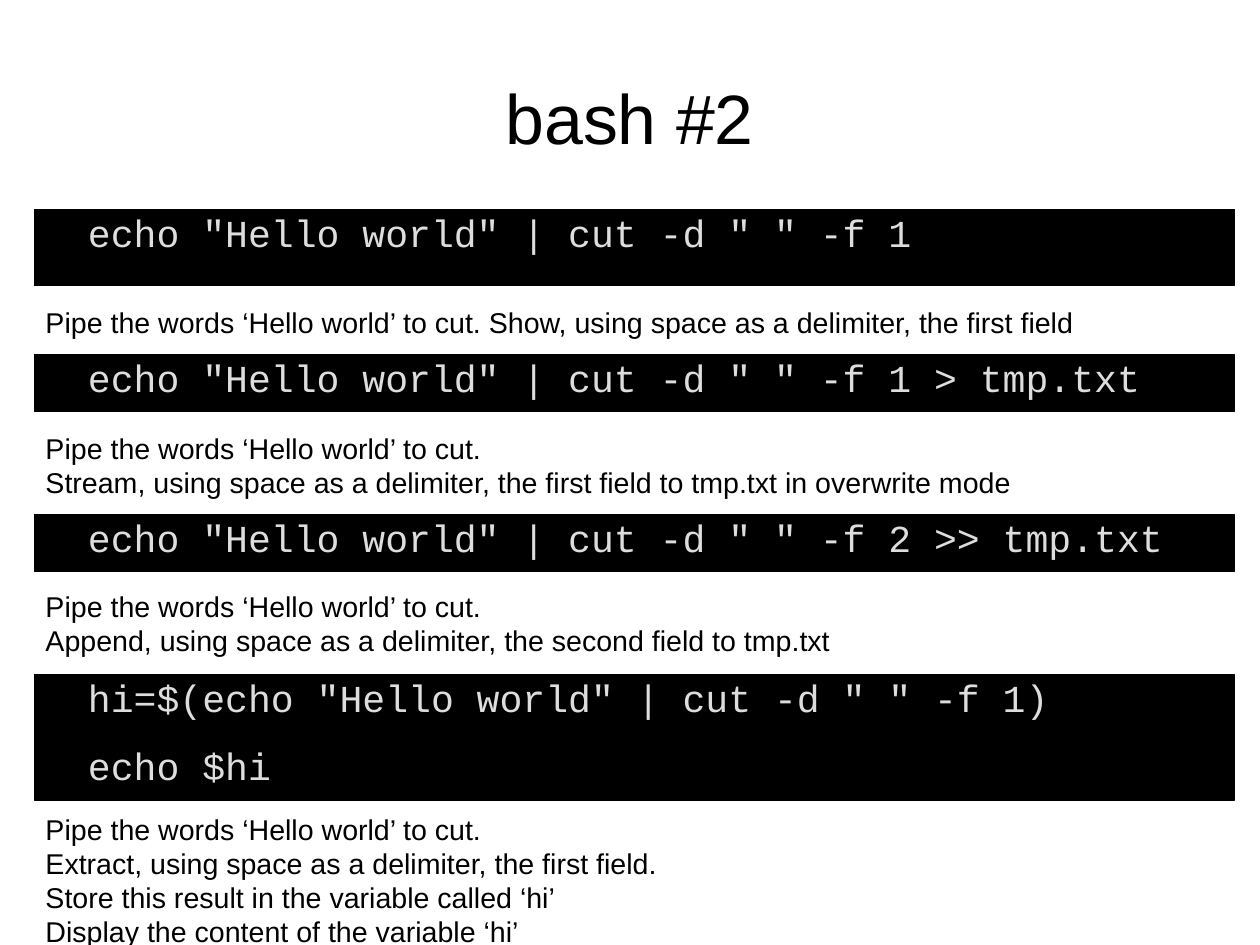
from pptx import Presentation
from pptx.dml.color import RGBColor
from pptx.enum.shapes import MSO_SHAPE
from pptx.enum.text import MSO_ANCHOR, PP_ALIGN
from pptx.util import Inches, Pt

RECT = MSO_SHAPE.RECTANGLE
TOP, MIDDLE = MSO_ANCHOR.TOP, MSO_ANCHOR.MIDDLE
LEFT, CENTER = PP_ALIGN.LEFT, PP_ALIGN.CENTER

# Content
TITLE = "bash #2"
PIPE = "Pipe the words ‘Hello world’ to cut."
CUT = 'echo "Hello world" | cut -d " " -f '
# Each step: code top, code height, code lines, note top, note lines
STEPS = [
    (1.83, 0.67, [CUT + "1"],
     2.62, [PIPE + " Show, using space as a delimiter, the first field"]),
    (3.1, 0.5, [CUT + "1 > tmp.txt"],
     3.72, [PIPE, "Stream, using space as a delimiter, the first field "
                  "to tmp.txt in overwrite mode"]),
    (4.5, 0.5, [CUT + "2 >> tmp.txt"],
     5.1, [PIPE, "Append, using space as a delimiter, the second field "
                 "to tmp.txt"]),
    (5.9, 1.1, ["hi=$(" + CUT + "1)", "echo $hi"],
     7.05, [PIPE, "Extract, using space as a delimiter, the first field.",
            "Store this result in the variable called ‘hi’",
            "Display the content of the variable ‘hi’"]),
]
SIDE, WIDE = 0.3, 10.5
LINE, PAD = 0.28, 0.1
INCH = 2.54  # centimetres; the page is 28 by 21 cm


def color(code):
    return RGBColor.from_string(code)


def write(shape, lines, size=18, font="Arial", ink="000000", align=LEFT,
          anchor=TOP, inset=(0, 0, 0, 0), gap=0):
    frame = shape.text_frame
    frame.word_wrap = True
    frame.vertical_anchor = anchor
    (frame.margin_left, frame.margin_top,
     frame.margin_right, frame.margin_bottom) = map(Inches, inset)
    for i, line in enumerate(lines):
        para = frame.add_paragraph() if i else frame.paragraphs[0]
        para.alignment = align
        para.space_before = Pt(gap if i else 0)
        run = para.add_run()
        run.text = line
        run.font.size = Pt(size)
        run.font.name = font
        run.font.color.rgb = color(ink)


def place(top, height):
    return [Inches(n) for n in (SIDE, top, WIDE, height)]


deck = Presentation()
deck.slide_width, deck.slide_height = Inches(28 / INCH), Inches(21 / INCH)
slide = deck.slides.add_slide(deck.slide_layouts[5])
shapes = slide.shapes

# Title
title = shapes.title
title.left, title.top = Inches(0.55), Inches(0.33)
title.width, title.height = Inches(9.92), Inches(1.38)
write(title, [TITLE], size=44, align=CENTER, anchor=MIDDLE)

# Code bars with their notes
for top, height, code, below, note in STEPS:
    bar = shapes.add_shape(RECT, *place(top, height))
    bar.shadow.inherit = False
    bar.fill.solid()
    bar.fill.fore_color.rgb = color("000000")
    bar.line.color.rgb = color("000000")
    bar.line.width = Pt(0)
    write(bar, code, size=24, font="Courier New", ink="DDDDDD",
          inset=(0.47, 0, 0, 0), gap=14.2)

    box = shapes.add_textbox(*place(below, LINE * len(note) + PAD))
    write(box, note, inset=(0.1, 0.05, 0.1, 0.05))

deck.save("out.pptx")
